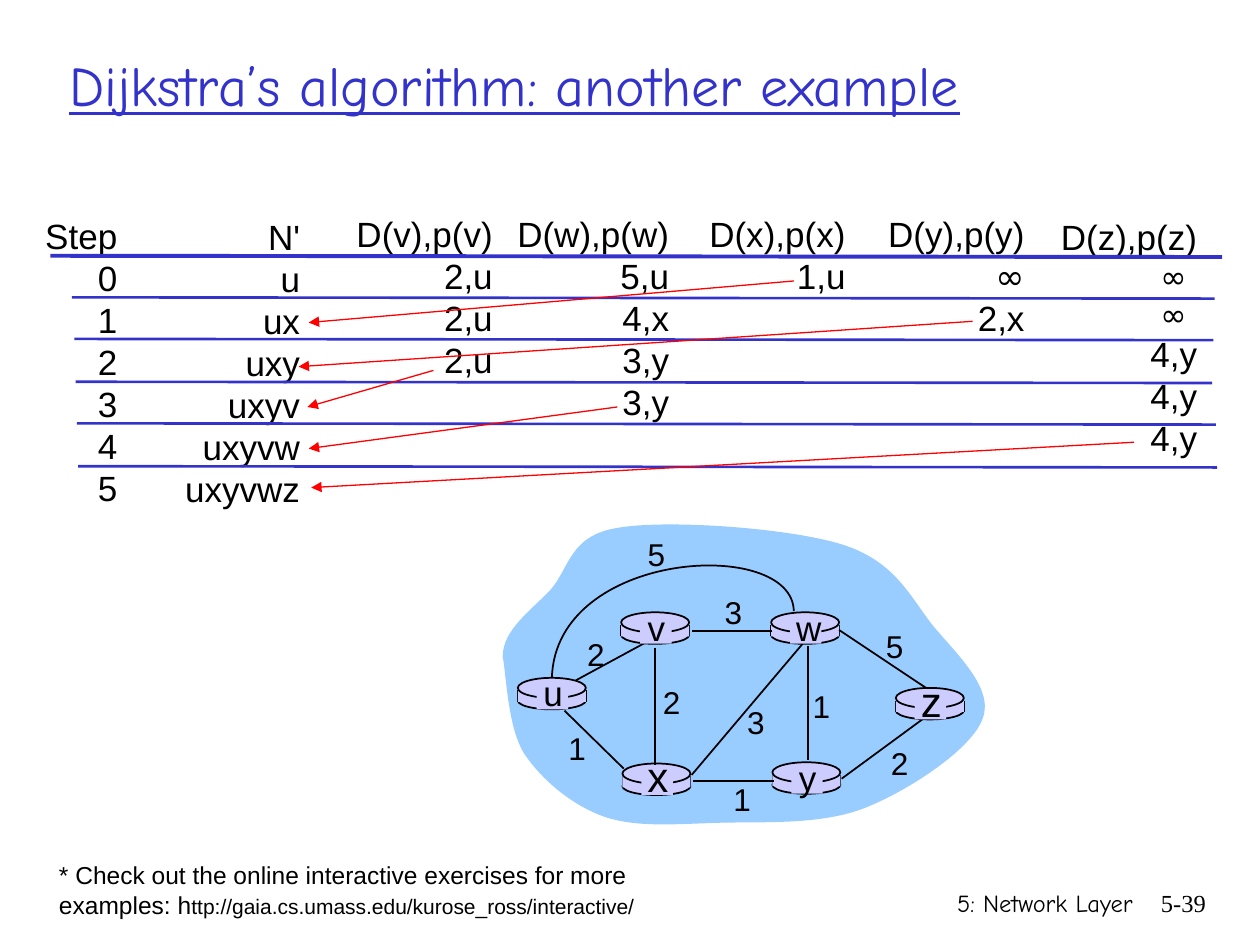
"""Build the slide on Dijkstra's algorithm with its table and network."""
import pptx
import pptx.dml.color
import pptx.enum.shapes
import pptx.enum.text
import pptx.oxml.ns
import pptx.util
from lxml import etree

Inches = pptx.util.Inches
Pt = pptx.util.Pt
RGB = pptx.dml.color.RGBColor
Shape = pptx.enum.shapes.MSO_SHAPE
Align = pptx.enum.text.PP_ALIGN
qn = pptx.oxml.ns.qn

BLUE = RGB(0x33, 0x33, 0xCC)
BLACK = RGB(0, 0, 0)
RED = RGB(0xFF, 0, 0)
SKY = RGB(0x99, 0xCC, 0xFF)
LILAC = RGB(0xCC, 0xCC, 0xFF)
SANS, COMIC, SERIF = "Arial", "Comic Neue", "Times New Roman"


class Board:
    """Hold the style and the current slide."""

    def __init__(self, slide):
        self.slide = slide
        self.shapes = slide.shapes

    def style(self, para, size, face=SANS, color=BLACK, align=Align.LEFT):
        para.alignment = align
        para.font.size = Pt(size)
        para.font.name = face
        para.font.color.rgb = color

    def title(self, text, x, y, w, h):
        box = self.shapes.title
        box.left, box.top, box.width, box.height = map(Inches, (x, y, w, h))
        box.text_frame.text = text
        box.text_frame.vertical_anchor = pptx.enum.text.MSO_ANCHOR.MIDDLE
        para = box.text_frame.paragraphs[0]
        self.style(para, 32, COMIC, BLUE)
        para.font.underline = True

    def text(self, rows, x, y, w, h, align=Align.RIGHT, wrap=False):
        box = self.shapes.add_textbox(*map(Inches, (x, y, w, h)))
        frame = box.text_frame
        frame.word_wrap = wrap
        for i, (words, size, face) in enumerate(rows):
            para = frame.add_paragraph() if i else frame.paragraphs[0]
            para.text = words
            para.line_spacing = Pt(1.2 * size)
            self.style(para, size, face, align=align)
        return frame

    def label(self, words, x, y, size):
        w, h = 0.36, 0.1 + size / 60
        self.text([(words, size, SANS)], x - w / 2, y - h / 2, w, h, Align.CENTER)

    def line(self, x1, y1, x2, y2, color=BLACK, width=1, arrow=False):
        line = self.shapes.add_connector(
            pptx.enum.shapes.MSO_CONNECTOR.STRAIGHT, *map(Inches, (x1, y1, x2, y2)))
        line.line.color.rgb = color
        line.line.width = Pt(width)
        if arrow:
            stroke = line.element.spPr.find(qn("a:ln"))
            etree.SubElement(stroke, qn("a:tailEnd"), type="triangle")
        etree.SubElement(line.element.spPr, qn("a:effectLst"))

    def paint(self, shape, fill=None, edge=None):
        shape.shadow.inherit = False
        if fill is None:
            shape.fill.background()
        else:
            shape.fill.solid()
            shape.fill.fore_color.rgb = fill
        if edge is None:
            shape.line.fill.background()
        else:
            shape.line.color.rgb = edge
            shape.line.width = Pt(1)

    def block(self, kind, x, y, w, h, edge=None):
        shape = self.shapes.add_shape(kind, *map(Inches, (x, y, w, h)))
        self.paint(shape, LILAC, edge)

    def curve(self, start, points, close=False, fill=None, edge=None):
        pen = self.shapes.build_freeform(*map(Inches, start))
        pen.add_line_segments([(Inches(x), Inches(y)) for x, y in points], close)
        shape = pen.convert_to_shape()
        route = next(shape.element.iter(qn("a:path")))
        legs = route.findall(qn("a:lnTo"))
        for i in range(0, len(legs), 3):
            bend = etree.Element(qn("a:cubicBezTo"))
            legs[i].addprevious(bend)
            for leg in legs[i:i + 3]:
                bend.append(leg[0])
                route.remove(leg)
        self.paint(shape, fill, edge)

    def router(self, x, y):
        self.block(Shape.OVAL, x, y + 0.11, 0.54, 0.14, BLACK)
        for side in (x, x + 0.54):
            self.line(side, y + 0.1, side, y + 0.19)
        self.block(Shape.RECTANGLE, x, y + 0.1, 0.54, 0.09)
        self.block(Shape.OVAL, x, y, 0.54, 0.16, BLACK)

    def name(self, word, x, y, size):
        self.block(Shape.RECTANGLE, x + 0.15, y + 0.02, 0.25, 0.23)
        self.label(word, x + 0.28, y + (0.12 if size == 20 else 0.1), size)


COLS = [
    (0.26, 1.65, 0.77, ["Step", "0", "1", "2", "3", "4", "5"]),
    (1.37, 1.66, 1.11, ["N'", "u", "ux", "uxy", "uxyv", "uxyvw", "uxyvwz"]),
    (2.73, 1.64, 1.28, ["D(v),p(v)", "2,u", "2,u", "2,u"]),
    (3.96, 1.64, 1.45, ["D(w),p(w)", "5,u", "4,x", "3,y", "3,y"]),
    (5.53, 1.64, 1.28, ["D(x),p(x)", "1,u"]),
    (6.95, 1.64, 1.28, ["D(y),p(y)", "∞", "2,x"]),
    (8.32, 1.66, 1.28, ["D(z),p(z)", "∞ ", "∞ ", "4,y", "4,y", "4,y"]),
]
RULES = [(0.57, 9.64, 2.36), (0.59, 9.63, 2.69), (0.6, 9.62, 3.03),
         (0.61, 9.65, 3.36), (0.62, 9.66, 3.7)]
STEPS = [(6.3, 2.23, 2.45, 2.56), (7.72, 2.55, 2.37, 2.91), (3.44, 2.94, 2.44, 3.23),
         (4.9, 3.23, 2.45, 3.56), (9, 3.51, 2.47, 3.87)]
CLOUD = [
    (3.99, 5), (4.21, 4.85), (4.37, 4.68), (4.52, 4.51), (4.52, 4.25), (4.9, 4.19),
    (5.29, 4.12), (6.26, 4.19), (6.68, 4.32), (7.1, 4.45), (7.22, 4.73), (7.4, 4.96),
    (7.59, 5.19), (7.89, 5.46), (7.8, 5.7), (7.72, 5.94), (7.22, 6.27), (6.87, 6.41),
    (6.52, 6.55), (6.06, 6.52), (5.71, 6.53), (5.36, 6.54), (5.05, 6.57), (4.79, 6.48),
    (4.54, 6.39), (4.3, 6.19), (4.16, 5.98), (4.03, 5.77), (4.02, 5.37), (3.99, 5.21),
]
NODES = [("u", 4.11, 5.38, 20), ("x", 4.94, 6.06, 24), ("v", 4.93, 4.86, 20),
         ("w", 6.12, 4.86, 20), ("y", 6.13, 6.05, 20), ("z", 7.11, 5.46, 24)]
EDGES = [(4.57, 5.4, 5.16, 5.08), (6.41, 5.13, 6.41, 6.03), (5.2, 5.14, 5.2, 6.07),
         (5.49, 6.15, 6.37, 5.11), (6.68, 6.18, 7.32, 5.71), (6.14, 6.2, 5.5, 6.2),
         (4.95, 6.1, 4.48, 5.64), (6.13, 5.01, 5.49, 5.01), (7.35, 5.46, 6.66, 5)]
COSTS = [("2", 4.73, 5.19), ("2", 5.33, 5.57), ("1", 4.58, 5.94), ("3", 6, 5.73),
         ("1", 5.89, 6.34), ("1", 6.52, 5.6), ("2", 7.14, 6.06), ("5", 7.1, 5.13),
         ("3", 5.82, 4.86), ("5", 5.21, 4.4)]


def main():
    deck = pptx.Presentation()
    deck.slide_width, deck.slide_height = Inches(10), Inches(7.5)
    board = Board(deck.slides.add_slide(deck.slide_layouts[5]))
    board.title("Dijkstra’s algorithm: another example", 0.45, 0.14, 9.39, 1.05)

    for x, y, w, words in COLS:
        rows = [(word, 18 if word == "∞ " else 20, COMIC if "∞" in word else SANS)
                for word in words]
        board.text(rows, x, y, w, 0.1 + len(rows) / 3)
    board.line(0.4, 2.03, 9.7, 2.04, BLUE, 2.25)
    for left, right, y in RULES:
        board.line(left, y, right, y + 0.01, BLUE, 1.5)

    board.curve((3.99, 5.21), CLOUD, close=True, fill=SKY)
    for word, x, y, size in NODES:
        board.router(x, y)
    for edge in EDGES:
        board.line(*edge)
    board.curve((6.3, 4.85), [(6.29, 4.26), (4.41, 4.36), (4.38, 5.38)], edge=BLACK)
    for node in NODES:
        board.name(*node)
    for cost in COSTS:
        board.label(*cost, 18)
    for step in STEPS:
        board.line(*step, RED, 0.75, arrow=True)

    note = "* Check out the online interactive exercises for more examples: h"
    frame = board.text([(note, 14, SANS)], 0.37, 6.78, 4.93, 0.57, Align.LEFT, True)
    link = frame.paragraphs[0].add_run()
    link.text = "ttp://gaia.cs.umass.edu/kurose_ross/interactive/"
    link.font.size = Pt(12)
    board.text([("5: Network Layer", 14, COMIC)], 5.92, 7, 3.17, 0.5, wrap=True)
    board.text([("5-39", 14, SERIF)], 8.93, 7, 0.74, 0.5, wrap=True)
    deck.save("out.pptx")


if __name__ == "__main__":
    main()
